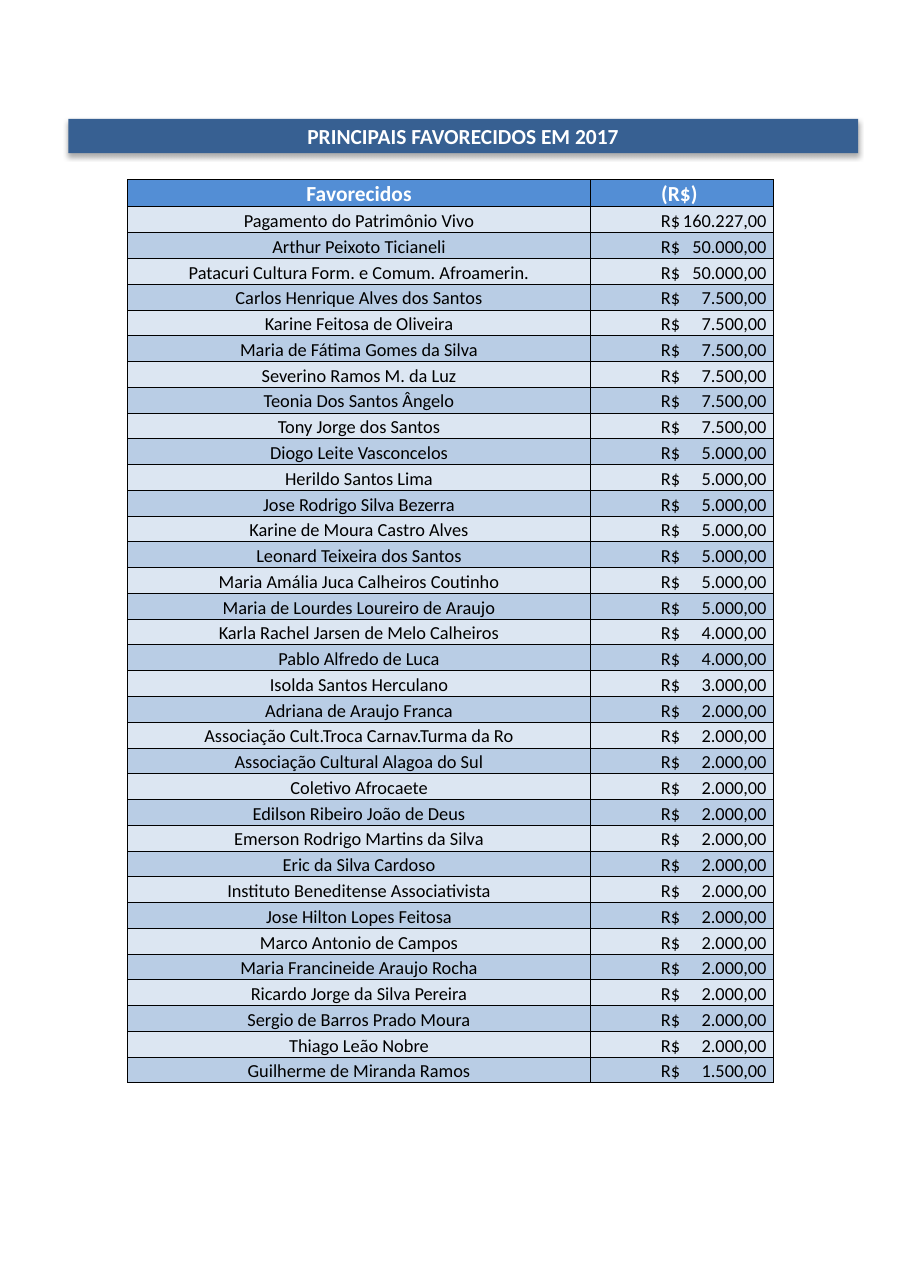
from dataclasses import dataclass

from lxml import etree
from pptx import Presentation
from pptx.dml.color import RGBColor
from pptx.enum.text import MSO_ANCHOR as Anchor, MSO_AUTO_SIZE as AutoSize, PP_ALIGN as Align
from pptx.oxml import parse_xml
from pptx.oxml.ns import nsdecls, qn
from pptx.slide import Slide
from pptx.table import Table, _Cell as Cell
from pptx.text.text import _Paragraph as Paragraph
from pptx.util import Inches, Pt

FONT = "Calibri"
WHITE, BLACK = "FFFFFF", "000000"
BANNER_FILL, HEADER_FILL = "376092", "538ED5"
ROW_FILLS = ("DCE6F2", "B9CDE5")
COLUMN_WIDTHS = (4.2, 1.66)
HEADER_HEIGHT, ROW_HEIGHT = 0.24, 0.23


@dataclass(frozen=True)
class Payee:
    name: str
    amount: int


@dataclass(frozen=True)
class CellStyle:
    fill: str
    color: str
    size: float
    bold: bool
    anchor: Anchor
    align: Align
    margins: tuple[float, float, float, float]
    line_spacing: float = 1.0


PAYEES = [
    Payee("Pagamento do Patrimônio Vivo", 160227),
    Payee("Arthur Peixoto Ticianeli", 50000),
    Payee("Patacuri Cultura Form. e Comum. Afroamerin.", 50000),
    Payee("Carlos Henrique Alves dos Santos", 7500),
    Payee("Karine Feitosa de Oliveira", 7500),
    Payee("Maria de Fátima Gomes da Silva", 7500),
    Payee("Severino Ramos M. da Luz", 7500),
    Payee("Teonia Dos Santos Ângelo", 7500),
    Payee("Tony Jorge dos Santos", 7500),
    Payee("Diogo Leite Vasconcelos", 5000),
    Payee("Herildo Santos Lima", 5000),
    Payee("Jose Rodrigo Silva Bezerra", 5000),
    Payee("Karine de Moura Castro Alves", 5000),
    Payee("Leonard Teixeira dos Santos", 5000),
    Payee("Maria Amália Juca Calheiros Coutinho", 5000),
    Payee("Maria de Lourdes Loureiro de Araujo", 5000),
    Payee("Karla Rachel Jarsen de Melo Calheiros", 4000),
    Payee("Pablo Alfredo de Luca", 4000),
    Payee("Isolda Santos Herculano", 3000),
    Payee("Adriana de Araujo Franca", 2000),
    Payee("Associação Cult.Troca Carnav.Turma da Ro", 2000),
    Payee("Associação Cultural Alagoa do Sul", 2000),
    Payee("Coletivo Afrocaete", 2000),
    Payee("Edilson Ribeiro João de Deus", 2000),
    Payee("Emerson Rodrigo Martins da Silva", 2000),
    Payee("Eric da Silva Cardoso", 2000),
    Payee("Instituto Beneditense Associativista", 2000),
    Payee("Jose Hilton Lopes Feitosa", 2000),
    Payee("Marco Antonio de Campos", 2000),
    Payee("Maria Francineide Araujo Rocha", 2000),
    Payee("Ricardo Jorge da Silva Pereira", 2000),
    Payee("Sergio de Barros Prado Moura", 2000),
    Payee("Thiago Leão Nobre", 2000),
    Payee("Guilherme de Miranda Ramos", 1500),
]


def rgb(color: str) -> RGBColor:
    return RGBColor.from_string(color)


def format_runs(para: Paragraph, size: float, color: str, bold: bool) -> None:
    for span in para.runs:
        span.font.name = FONT
        span.font.size = Pt(size)
        span.font.bold = bold
        span.font.color.rgb = rgb(color)


def add_right_tab(para: Paragraph, position: float) -> None:
    tabs = etree.SubElement(para._p.get_or_add_pPr(), qn("a:tabLst"))
    etree.SubElement(tabs, qn("a:tab"), pos=str(Inches(position)), algn="r")


def add_borders(cell: Cell) -> None:
    properties = cell._tc.get_or_add_tcPr()
    for side in ("lnL", "lnR", "lnT", "lnB"):
        properties.append(parse_xml(
            f'<a:{side} {nsdecls("a")} w="{Pt(0.5)}"><a:solidFill>'
            f'<a:srgbClr val="{BLACK}"/></a:solidFill></a:{side}>'))


def fill_cell(cell: Cell, text: str, style: CellStyle) -> Paragraph:
    """Write and style one cell, and return its paragraph."""
    add_borders(cell)
    cell.fill.solid()
    cell.fill.fore_color.rgb = rgb(style.fill)
    cell.vertical_anchor = style.anchor
    (cell.margin_left, cell.margin_top,
     cell.margin_right, cell.margin_bottom) = map(Inches, style.margins)
    para = cell.text_frame.paragraphs[0]
    para.text = text
    para.alignment = style.align
    para.line_spacing = style.line_spacing
    format_runs(para, style.size, style.color, style.bold)
    return para


def add_banner(page: Slide, text: str) -> None:
    banner = page.shapes.title
    banner.left, banner.top = Inches(0.62), Inches(1.08)
    banner.width, banner.height = Inches(7.17), Inches(0.31)
    banner.fill.solid()
    banner.fill.fore_color.rgb = rgb(BANNER_FILL)
    banner.line.fill.background()
    banner._element.spPr.append(parse_xml(
        f'<a:effectLst {nsdecls("a")}><a:outerShdw blurRad="{Pt(3.5)}" dist="{Pt(2.2)}" '
        f'dir="5400000" rotWithShape="0"><a:srgbClr val="{BLACK}">'
        '<a:alpha val="32000"/></a:srgbClr></a:outerShdw></a:effectLst>'))
    frame = banner.text_frame
    frame.text = text
    frame.word_wrap = True
    frame.auto_size = AutoSize.NONE
    frame.vertical_anchor = Anchor.MIDDLE
    para = frame.paragraphs[0]
    para.alignment = Align.CENTER
    format_runs(para, 14, WHITE, True)


def add_payee_row(table: Table, row: int, payee: Payee) -> None:
    fill = ROW_FILLS[(row - 1) % len(ROW_FILLS)]
    name_style = CellStyle(fill, BLACK, 12, False, Anchor.BOTTOM, Align.CENTER,
                           (0.05, 0, 0.05, 0), 1.15)
    amount_style = CellStyle(fill, BLACK, 12, False, Anchor.BOTTOM, Align.LEFT,
                             (0.64, 0.01, 0.01, 0))
    fill_cell(table.cell(row, 0), payee.name, name_style)
    amount = f"{payee.amount:,}".replace(",", ".")
    para = fill_cell(table.cell(row, 1), f"R$\t{amount},00", amount_style)
    add_right_tab(para, 0.96)


def add_payee_table(page: Slide) -> None:
    height = HEADER_HEIGHT + ROW_HEIGHT * len(PAYEES)
    table = page.shapes.add_table(
        len(PAYEES) + 1, len(COLUMN_WIDTHS), Inches(1.16), Inches(1.63),
        Inches(sum(COLUMN_WIDTHS)), Inches(height)).table
    table.first_row = table.horz_banding = False
    for column, width in zip(table.columns, COLUMN_WIDTHS):
        column.width = Inches(width)
    for row in table.rows:
        row.height = Inches(ROW_HEIGHT)
    table.rows[0].height = Inches(HEADER_HEIGHT)

    header_style = CellStyle(HEADER_FILL, WHITE, 14, True, Anchor.MIDDLE, Align.CENTER,
                             (0.01, 0.01, 0.01, 0))
    for column, heading in enumerate(("Favorecidos", "(R$) ")):
        fill_cell(table.cell(0, column), heading, header_style)
    for row, payee in enumerate(PAYEES, start=1):
        add_payee_row(table, row, payee)


def main() -> None:
    deck = Presentation()
    deck.slide_width, deck.slide_height = Inches(8.27), Inches(11.69)
    page = deck.slides.add_slide(deck.slide_layouts.get_by_name("Title Only"))
    add_banner(page, "PRINCIPAIS FAVORECIDOS EM 2017")
    add_payee_table(page)
    deck.save("out.pptx")


if __name__ == "__main__":
    main()
